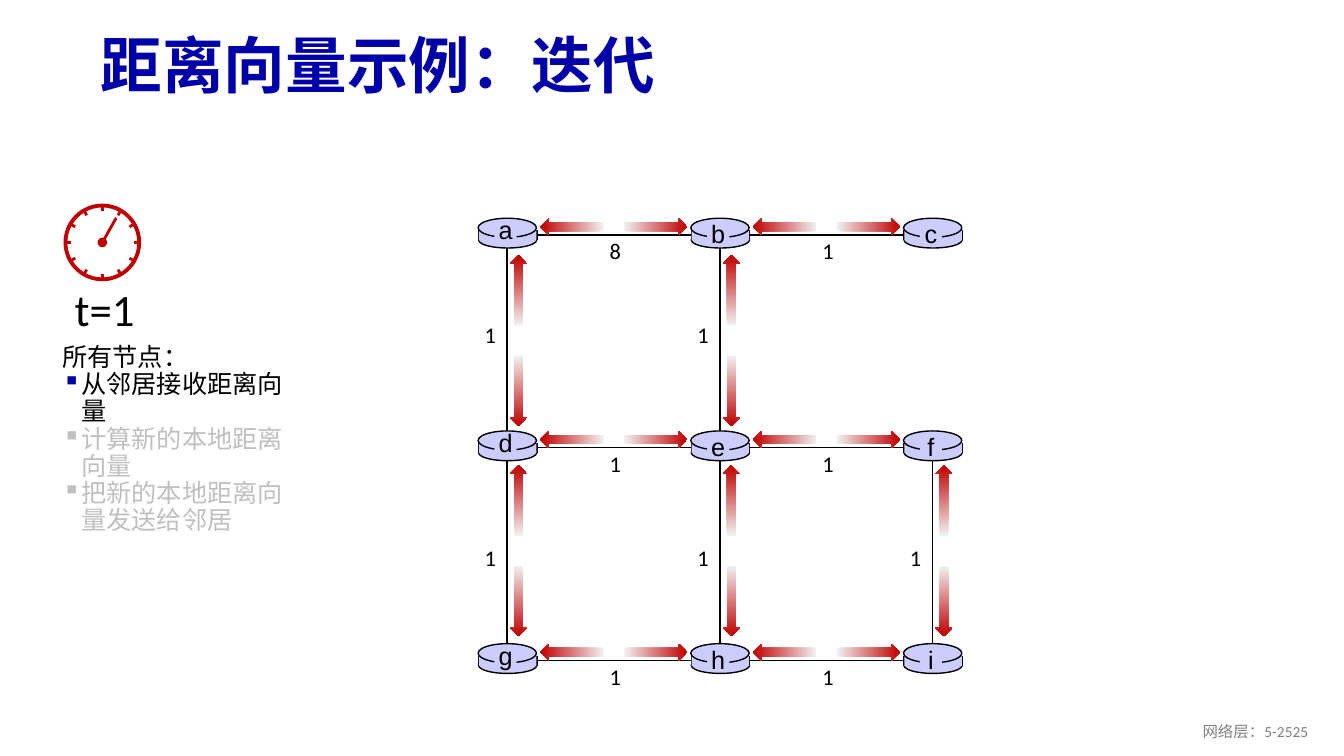
"""Build the slide on iterating the distance vector algorithm over a grid of nine routers."""
from itertools import product
from math import cos, pi, sin

from lxml import etree
from pptx import Presentation
from pptx.dml.color import RGBColor
from pptx.enum.shapes import MSO_CONNECTOR, MSO_SHAPE
from pptx.enum.text import MSO_ANCHOR, PP_ALIGN
from pptx.oxml.ns import qn
from pptx.util import Cm, Pt

OVAL, RECT, ARROW = MSO_SHAPE.OVAL, MSO_SHAPE.RECTANGLE, MSO_SHAPE.RIGHT_ARROW
LEFT, MID, RIGHT = PP_ALIGN.LEFT, PP_ALIGN.CENTER, PP_ALIGN.RIGHT
HEX = {"blue": "0000A8", "red": "C00000", "pale": "F2F2F2", "node": "CCCCFF",
       "black": "000000", "gray": "808080", "dim": "BFBFBF"}
RGB = {name: RGBColor.from_string(code) for name, code in HEX.items()}


def line(host, x1, y1, x2, y2, color, width):
    stroke = host.add_connector(MSO_CONNECTOR.STRAIGHT, Cm(x1), Cm(y1), Cm(x2), Cm(y2))
    stroke.line.color.rgb = RGB[color]
    stroke.line.width = Pt(width)
    etree.SubElement(stroke._element.spPr, qn("a:effectLst"))


def draw(host, kind, x, y, w, h, fill=None, edge=None, width=1):
    shape = host.add_shape(kind, Cm(x), Cm(y), Cm(w), Cm(h))
    shape.shadow.inherit = False
    if fill:
        shape.fill.solid()
        shape.fill.fore_color.rgb = RGB[fill]
    else:
        shape.fill.background()
    if edge:
        shape.line.color.rgb = RGB[edge]
        shape.line.width = Pt(width)
    else:
        shape.line.fill.background()
    return shape


deck = Presentation()
deck.slide_width, deck.slide_height = Cm(33.87), Cm(19.05)
page = deck.slides.add_slide(deck.slide_layouts[6]).shapes

texts = [
    (page, 2.29, 0.48, 29.21, 2.49, "距离向量示例：迭代", 44, "Calibri", "blue", LEFT, 0.9),
    (page, 25.6, 17.91, 7.62, 1.02, "网络层：5-2525", 11, "Calibri", "gray", RIGHT, 1),
]

clock = page.add_group_shape().shapes
cx, cy = 2.58, 6.11
draw(clock, OVAL, cx - 0.93, cy - 0.93, 1.86, 1.86, edge="red", width=2.75)
for hour in range(12):
    dx, dy = sin(hour * pi / 6), cos(hour * pi / 6)
    line(clock, cx + 0.79 * dx, cy + 0.79 * dy, cx + 0.95 * dx, cy + 0.95 * dy, "red", 2)
draw(clock, OVAL, cx - 0.12, cy - 0.12, 0.24, 0.24, "red")
line(clock, cx, cy, cx + 0.35, cy - 0.62, "red", 2)
texts.append((clock, 1.63, 6.96, 2.06, 1.63, "t=1", 32, "Calibri", "black", LEFT, 1))

steps = [
    ("所有节点：", "black", None),
    ("从邻居接收距离向量", "black", "blue"),
    ("计算新的本地距离向量", "dim", "dim"),
    ("把新的本地距离向量发送给邻居", "dim", "dim"),
]
frame = page.add_textbox(Cm(1.32), Cm(8.56), Cm(6.1), Cm(7.19)).text_frame
frame.word_wrap = True
for rank, (words, color, mark) in enumerate(steps):
    para = frame.add_paragraph() if rank else frame.paragraphs[0]
    para.text = words
    para.line_spacing = 0.9
    if mark:
        props = para._p.get_or_add_pPr()
        props.set("marL", str(Cm(0.48)))
        props.set("indent", str(-Cm(0.48)))
        tint = etree.SubElement(props, qn("a:buClr"))
        etree.SubElement(tint, qn("a:srgbClr"), val=HEX[mark])
        etree.SubElement(props, qn("a:buChar"), char="▪")
    para.font.size = Pt(18)
    para.font.name = "Calibri"
    para.font.color.rgb = RGB[color]

left, top, pitch = 12.78, 5.92, 5.36
dips, drops = (1.39, 1.33), (2.05, 2.3)
spots = [(row, col, left + pitch * col, top + pitch * row)
         for row, col in product(range(3), repeat=2)]

arrows = []
for row, col, x, y in spots:
    if col < 2:
        line(page, x, y, x + pitch, y, "black", 1)
        cost = "8" if row == col == 0 else "1"
        texts.append((page, x + 2.31, y - 0.07, 0.83, 0.94, cost, 16, "Calibri", "black", MID, 1))
        arrows += [(x + 0.84, y - 0.42, 1.6, 180), (x + 2.94, y - 0.42, 1.6, 0)]
    if row < 2 and (row, col) != (0, 2):
        line(page, x, y, x, y + pitch, "black", 1)
        texts.append((page, x - 0.84, y + drops[row], 0.83, 0.94, "1", 16, "Calibri", "black", MID, 1))
        dip = y + dips[row]
        arrows += [(x - 0.6, dip - 0.21, 1.78, 270), (x - 0.6, dip + 2.32, 1.78, 90)]

for x, y, long, turn in arrows:
    arrow = draw(page, ARROW, x, y, long, 0.43)
    arrow.rotation = turn
    arrow.fill.gradient()
    arrow.fill.gradient_angle = 0
    for stop, shade in zip(arrow.fill.gradient_stops, ("pale", "red")):
        stop.color.rgb = RGB[shade]

for name, (row, col, x, y) in zip("abcdefghi", spots):
    node = page.add_group_shape().shapes
    draw(node, OVAL, x - 0.72, y - 0.08, 1.47, 0.41, "node", "black")
    for side in (x - 0.72, x + 0.75):
        line(node, side, y - 0.12, side, y + 0.14, "black", 1)
    draw(node, RECT, x - 0.71, y - 0.12, 1.45, 0.26, "node")
    draw(node, OVAL, x - 0.73, y - 0.42, 1.47, 0.48, "node", "black")
    draw(node, RECT, x - 0.32, y - 0.29, 0.56, 0.5, "node")
    rise = 0.54 if col else 0.64
    texts.append((node, x - 0.47, y - rise, 0.86, 1.02, name, 18, "Arial", "black", MID, 1))

for host, x, y, w, h, words, size, face, color, align, gap in texts:
    frame = host.add_textbox(Cm(x), Cm(y), Cm(w), Cm(h)).text_frame
    frame.word_wrap = w > 5
    frame.vertical_anchor = MSO_ANCHOR.MIDDLE
    para = frame.paragraphs[0]
    para.text = words
    para.alignment = align
    para.line_spacing = gap
    para.font.size = Pt(size)
    para.font.name = face
    para.font.bold = size == 44
    para.font.color.rgb = RGB[color]

deck.save("out.pptx")
